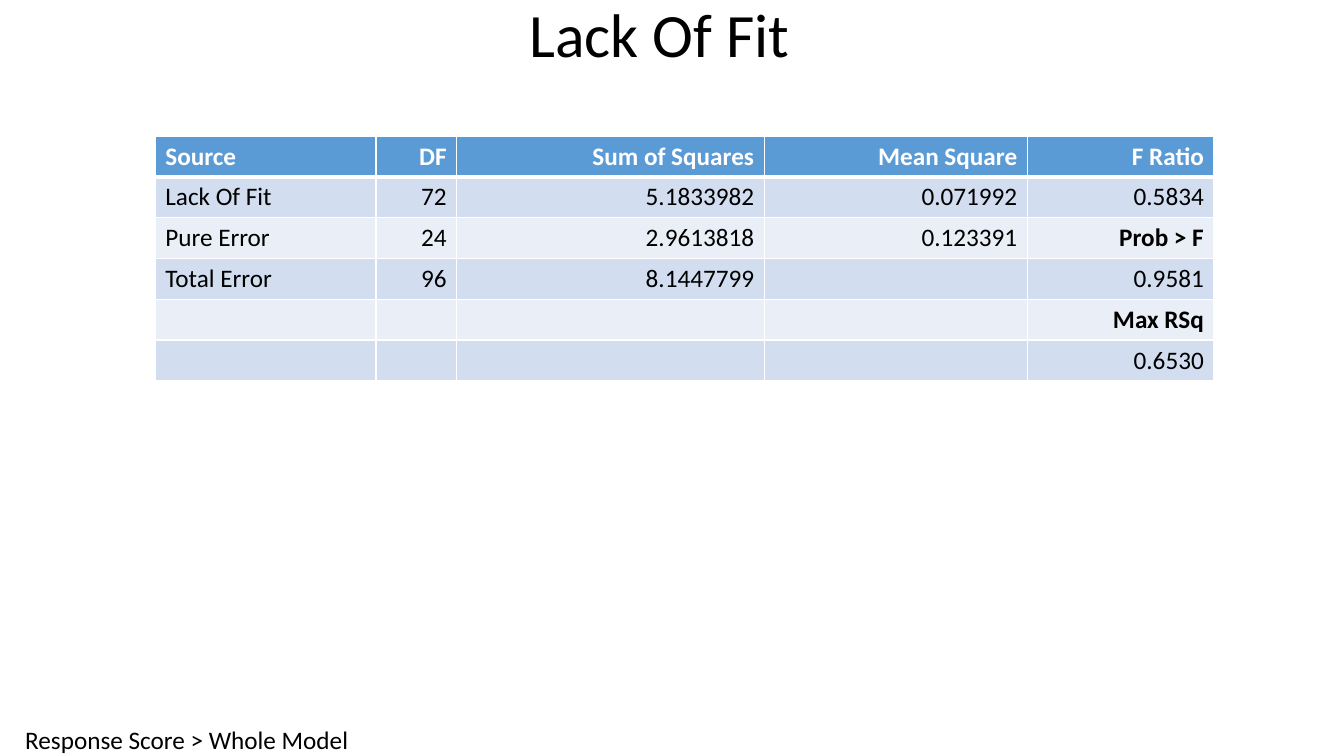
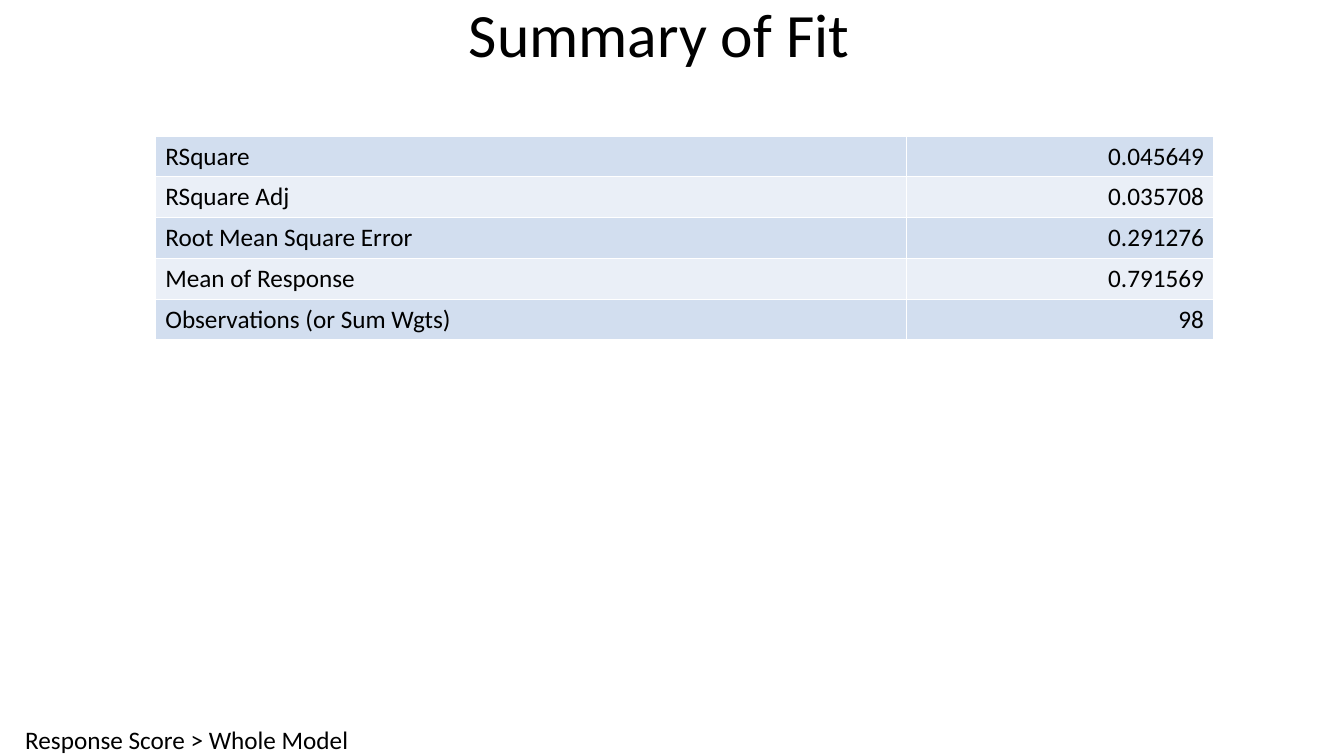
from lxml import etree
from pptx import Presentation
from pptx.dml.color import RGBColor
from pptx.enum.text import MSO_ANCHOR, PP_ALIGN
from pptx.oxml.ns import qn
from pptx.util import Inches, Pt

LEFT, CENTER, RIGHT = PP_ALIGN.LEFT, PP_ALIGN.CENTER, PP_ALIGN.RIGHT
MIDDLE = MSO_ANCHOR.MIDDLE

COLORS = {
    "text": "000000",
    "header": "5B9BD5",
    "header_text": "FFFFFF",
    "odd_row": "D2DEEF",
    "even_row": "EAEFF7",
    "grid": "FFFFFF",
}
FONT = "Calibri"
BODY_SIZE, TITLE_SIZE = 18, 44
ROW_HEIGHT = 2.43 / 6
THIN, THICK = 1, 3

# Boxes: left, top, width, height
TITLE_BOX = (0, 0, 13.08, 0.74)
FOOTER_BOX = (0.25, 7.19, 3.48, 0.31)
TABLE_ORIGIN = (1.54, 1.35)

FOOTER = "Response Score > Whole Model"


def rgb(name):
    return RGBColor.from_string(COLORS[name])


def add_run(paragraph, text, size=BODY_SIZE, color="text", bold=False):
    run = paragraph.add_run()
    run.text = text
    run.font.name = FONT
    run.font.size = Pt(size)
    run.font.bold = bold
    run.font.color.rgb = rgb(color)


def add_title(slide, box, text):
    frame = slide.shapes.add_textbox(*map(Inches, box)).text_frame
    frame.word_wrap = True
    frame.vertical_anchor = MIDDLE
    paragraph = frame.paragraphs[0]
    paragraph.alignment = CENTER
    paragraph.line_spacing = 0.9
    add_run(paragraph, text, TITLE_SIZE)


def add_footer(slide, box, text):
    frame = slide.shapes.add_textbox(*map(Inches, box)).text_frame
    frame.word_wrap = False
    frame.margin_left = frame.margin_right = 0
    frame.margin_top = frame.margin_bottom = 0
    add_run(frame.paragraphs[0], text)


def set_borders(cell, top, bottom):
    """Draw the cell's grid lines; must run before the fill is set."""
    properties = cell._tc.get_or_add_tcPr()
    for side, width in (("L", THIN), ("R", THIN), ("T", top), ("B", bottom)):
        line = etree.SubElement(properties, qn(f"a:ln{side}"), w=str(Pt(width)))
        fill = etree.SubElement(line, qn("a:solidFill"))
        etree.SubElement(fill, qn("a:srgbClr"), val=COLORS["grid"])


def add_report_table(slide, origin, widths, rows, has_header=False, bold=()):
    left, top = origin
    table = slide.shapes.add_table(
        len(rows), len(widths), Inches(left), Inches(top),
        Inches(sum(widths)), Inches(ROW_HEIGHT * len(rows))).table
    for column, width in zip(table.columns, widths):
        column.width = Inches(width)

    first_body_row = int(has_header)
    for r, values in enumerate(rows):
        is_header = r < first_body_row
        if is_header:
            band = "header"
        else:
            band = "even_row" if (r - first_body_row) % 2 else "odd_row"
        top_line = THICK if has_header and r == first_body_row else THIN
        for c, value in enumerate(values):
            cell = table.cell(r, c)
            set_borders(cell, top_line, THICK if is_header else THIN)
            cell.fill.solid()
            cell.fill.fore_color.rgb = rgb(band)
            paragraph = cell.text_frame.paragraphs[0]
            paragraph.alignment = RIGHT if c else LEFT
            if value:
                add_run(paragraph, value,
                        color="header_text" if is_header else "text",
                        bold=is_header or value in bold)


def add_report_slide(deck, title, widths, rows, **table_options):
    slide = deck.slides.add_slide(deck.slide_layouts[6])
    add_footer(slide, FOOTER_BOX, FOOTER)
    add_title(slide, TITLE_BOX, title)
    add_report_table(slide, TABLE_ORIGIN, widths, rows, **table_options)


deck = Presentation()
deck.slide_width, deck.slide_height = Inches(13.33), Inches(7.5)

# Lack of fit: analysis of variance with a header row
add_report_slide(
    deck, "Lack Of Fit", (2.19, 0.8, 3.05, 2.61, 1.85),
    [
        ("Source", "DF", "Sum of Squares", "Mean Square", "F Ratio"),
        ("Lack Of Fit", "72", "5.1833982", "0.071992", "0.5834"),
        ("Pure Error", "24", "2.9613818", "0.123391", "Prob > F"),
        ("Total Error", "96", "8.1447799", "", "0.9581"),
        ("", "", "", "", "Max RSq"),
        ("", "", "", "", "0.6530"),
    ],
    has_header=True, bold=("Prob > F", "Max RSq"))

# Summary of fit: label and value pairs
add_report_slide(
    deck, "Summary of Fit", (7.45, 3.05),
    [
        ("RSquare", "0.045649"),
        ("RSquare Adj", "0.035708"),
        ("Root Mean Square Error", "0.291276"),
        ("Mean of Response", "0.791569"),
        ("Observations (or Sum Wgts)", "98"),
    ])

deck.save("out.pptx")
